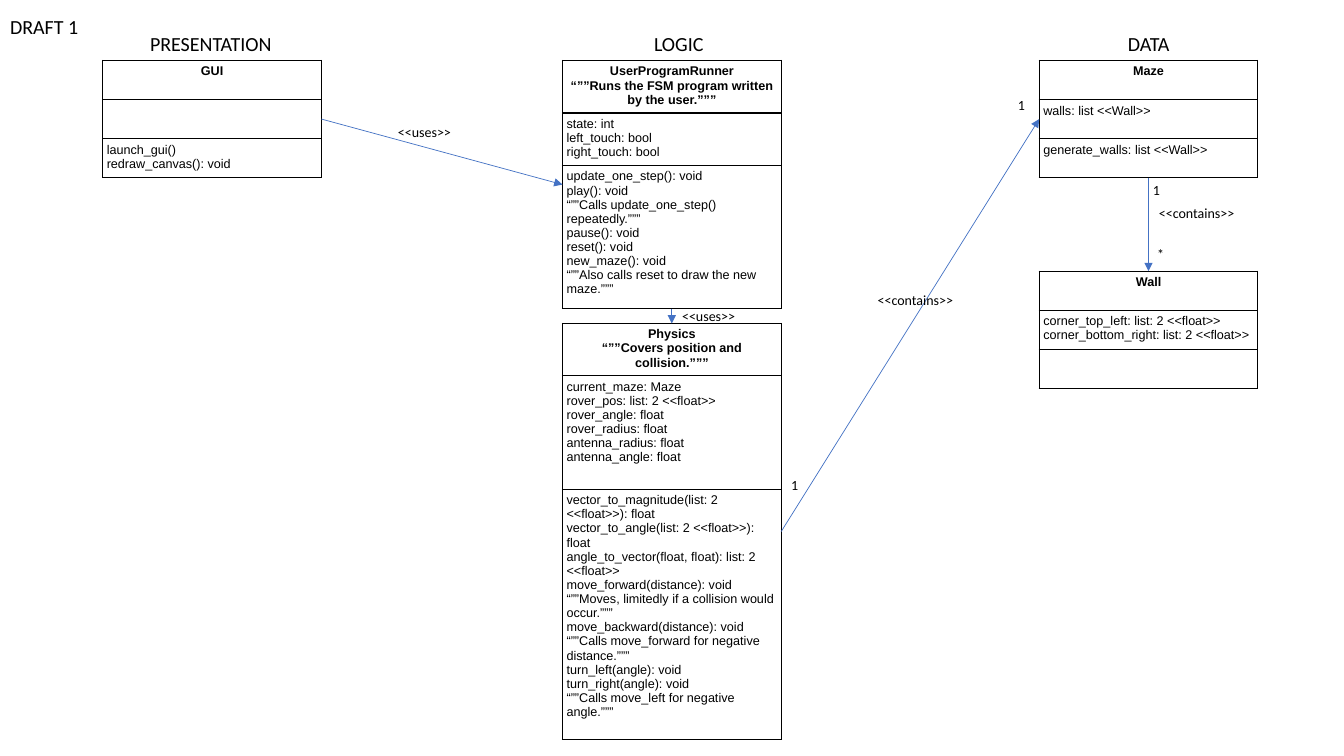
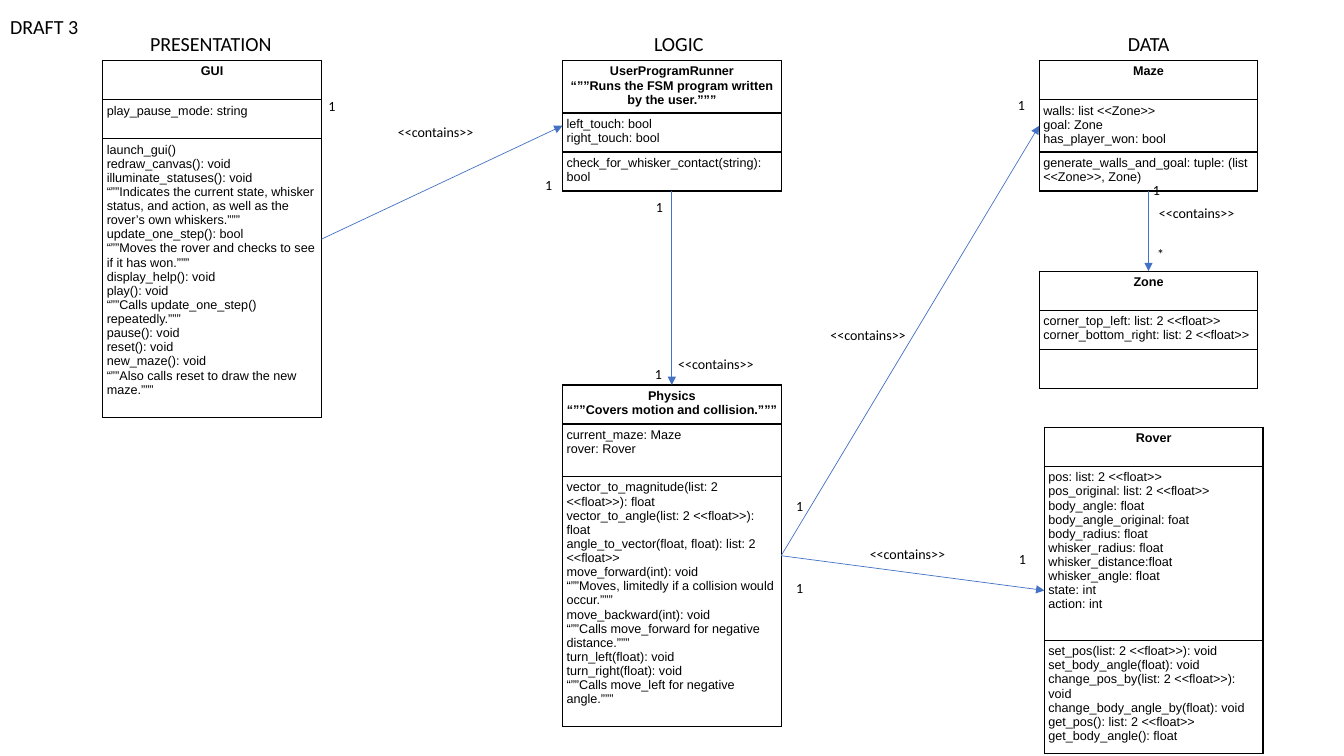
from dataclasses import dataclass
from lxml import etree
from pptx import Presentation
from pptx.dml.color import RGBColor
from pptx.enum.shapes import MSO_CONNECTOR as CONN
from pptx.enum.text import MSO_ANCHOR as ANCHOR, MSO_AUTO_SIZE as AUTO, PP_ALIGN as ALIGN
from pptx.oxml.ns import qn
from pptx.util import Pt


@dataclass(frozen=True)
class Theme:
    ink: str = "000000"
    accent: str = "4472C4"
    label_font: str = "Calibri"
    box_font: str = "Arial"
    heading: float = 14.3
    label: float = 10
    member: float = 9
    border: float = 1
    arrow: float = 0.5
    box_width: float = 156.2
    inset: float = 2.9


THEME = Theme()
COL_GUI, COL_LOGIC, COL_DATA = 73.4, 401.8, 742.3
TOP, LOWER = 43.2, 193.7
ROW, ROW3 = 27.9, 37.5
HEADINGS = [("PRESENTATION", 100.1, 103), ("LOGIC", 460.1, 50.4), ("DATA", 798.5, 44.6)]
LABEL_WIDTHS = {"<<uses>>": 52.6, "<<contains>>": 69.1, "1": 19.4, "*": 19.4}


def write(tf, text, font, size, bold=False, align=ALIGN.LEFT):
    for i, line in enumerate(text.split("\n")):
        p = tf.paragraphs[0] if i == 0 else tf.add_paragraph()
        p.alignment = align
        r = p.add_run()
        r.text = line
        r.font.name, r.font.size, r.font.bold = font, Pt(size), bold
        r.font.color.rgb = RGBColor.from_string(THEME.ink)


def doc(text):
    return f"“””{text}”””"


class Diagram:
    def __init__(self, prs, theme):
        self.prs, self.theme = prs, theme

    def start(self, title):
        self.s = self.prs.slides.add_slide(self.prs.slide_layouts[5])
        sp = self.s.shapes.title
        sp.left, sp.top, sp.width, sp.height = Pt(0), Pt(6.5), Pt(64.1), Pt(24.5)
        self.fit(sp, title, self.theme.heading)
        for text, x, w in HEADINGS:
            self.text(text, x, 18.7, w, 24.5, self.theme.heading)

    def fit(self, sp, text, size):
        tf = sp.text_frame
        tf.word_wrap, tf.auto_size = False, AUTO.NONE
        tf.vertical_anchor = ANCHOR.TOP
        write(tf, text, self.theme.label_font, size)

    def text(self, text, x, y, w, h, size):
        self.fit(self.s.shapes.add_textbox(Pt(x), Pt(y), Pt(w), Pt(h)), text, size)

    def labels(self, text, *points):
        for x, y in points:
            self.text(text, x, y, LABEL_WIDTHS[text], 19.4, self.theme.label)

    def box(self, x, y, heights, name, fields, methods):
        t = self.theme
        sp = self.s.shapes.add_table(3, 1, Pt(x), Pt(y), Pt(t.box_width), Pt(sum(heights)))
        tbl = sp.table
        tbl.first_row = tbl.horz_banding = False
        for i, (height, lines) in enumerate(zip(heights, (name, fields, methods))):
            tbl.rows[i].height = Pt(height)
            cell = tbl.cell(i, 0)
            cell.margin_left = cell.margin_right = Pt(t.inset)
            cell.margin_top = cell.margin_bottom = Pt(t.inset)
            self.borders(cell)
            cell.fill.background()
            write(cell.text_frame, "\n".join(lines), t.box_font, t.member,
                  bold=i == 0, align=ALIGN.LEFT if i else ALIGN.CENTER)
        return sp

    def borders(self, cell):
        tcPr = cell._tc.get_or_add_tcPr()
        for side in "LRTB":
            ln = etree.SubElement(tcPr, qn(f"a:ln{side}"), w=str(Pt(self.theme.border)))
            fill = etree.SubElement(ln, qn("a:solidFill"))
            etree.SubElement(fill, qn("a:srgbClr"), val=self.theme.ink)

    def arrow(self, x1, y1, x2, y2):
        cx = self.s.shapes.add_connector(CONN.STRAIGHT, x1, y1, x2, y2)
        cx.line.color.rgb = RGBColor.from_string(self.theme.accent)
        cx.line.width = Pt(self.theme.arrow)
        etree.SubElement(cx.line._get_or_add_ln(), qn("a:tailEnd"), type="triangle")
        etree.SubElement(cx._element.spPr, qn("a:effectLst"))

    def across(self, a, b):
        self.arrow(a.left + a.width, a.top + a.height // 2, b.left, b.top + b.height // 2)

    def down(self, a, b):
        self.arrow(a.left + a.width // 2, a.top + a.height, b.left + b.width // 2, b.top)


PLAYBACK = ["play(): void", doc("Calls update_one_step() repeatedly."), "pause(): void",
            "reset(): void", "new_maze(): void", doc("Also calls reset to draw the new maze.")]
RUNNER = ["UserProgramRunner", doc("Runs the FSM program written by the user.")]
TOUCHES = ["left_touch: bool", "right_touch: bool"]
CORNERS = ["corner_top_left: list: 2 <<float>>", "corner_bottom_right: list: 2 <<float>>"]


def physics_methods(distance, angle):
    return ["vector_to_magnitude(list: 2 <<float>>): float",
            "vector_to_angle(list: 2 <<float>>): float",
            "angle_to_vector(float, float): list: 2 <<float>>",
            f"move_forward({distance}): void",
            doc("Moves, limitedly if a collision would occur."),
            f"move_backward({distance}): void",
            doc("Calls move_forward for negative distance."),
            f"turn_left({angle}): void",
            f"turn_right({angle}): void",
            doc("Calls move_left for negative angle.")]


def link_all(d, gui, runner, physics, maze, part):
    d.across(gui, runner)
    d.down(runner, physics)
    d.across(physics, maze)
    d.down(maze, part)
    d.labels("<<contains>>", (820.8, 142.6))
    d.labels("*", (819.4, 172.1))
    d.labels("1", (816.5, 126), (720, 65.5))


def draft_1(d):
    d.start("DRAFT 1")
    gui = d.box(COL_GUI, TOP, [ROW] * 3, ["GUI"], [],
                ["launch_gui()", "redraw_canvas(): void"])
    physics = d.box(COL_LOGIC, 231, [ROW3, 81, 179],
                    ["Physics", doc("Covers position and collision.")],
                    ["current_maze: Maze", "rover_pos: list: 2 <<float>>",
                     "rover_angle: float", "rover_radius: float",
                     "antenna_radius: float", "antenna_angle: float"],
                    physics_methods("distance", "angle"))
    runner = d.box(COL_LOGIC, TOP, [ROW3, ROW3, 102.3], RUNNER,
                   ["state: int", *TOUCHES], ["update_one_step(): void", *PLAYBACK])
    maze = d.box(COL_DATA, TOP, [ROW] * 3, ["Maze"], ["walls: list <<Wall>>"],
                 ["generate_walls: list <<Wall>>"])
    wall = d.box(COL_DATA, LOWER, [ROW] * 3, ["Wall"], CORNERS, [])
    link_all(d, gui, runner, physics, maze, wall)
    d.labels("<<uses>>", (277.2, 85), (480.2, 216))
    d.labels("<<contains>>", (619.9, 204.5))
    d.labels("1", (558, 337))


def draft_3(d):
    d.start("DRAFT 3")
    gui = d.box(COL_GUI, TOP, [ROW, ROW, 199.5], ["GUI"], ["play_pause_mode: string"],
                ["launch_gui()", "redraw_canvas(): void", "illuminate_statuses(): void",
                 doc("Indicates the current state, whisker status, and action, "
                     "as well as the rover’s own whiskers."),
                 "update_one_step(): bool",
                 doc("Moves the rover and checks to see if it has won."),
                 "display_help(): void", *PLAYBACK])
    physics = d.box(COL_LOGIC, 275, [ROW, ROW3, 178.5],
                    ["Physics", doc("Covers motion and collision.")],
                    ["current_maze: Maze", "rover: Rover"], physics_methods("int", "float"))
    runner = d.box(COL_LOGIC, TOP, [ROW3, ROW, ROW], RUNNER, TOUCHES,
                   ["check_for_whisker_contact(string): bool"])
    maze = d.box(COL_DATA, TOP, [ROW, ROW3, ROW], ["Maze"],
                 ["walls: list <<Zone>>", "goal: Zone", "has_player_won: bool"],
                 ["generate_walls_and_goal: tuple: (list <<Zone>>, Zone)"])
    zone = d.box(COL_DATA, LOWER, [ROW] * 3, ["Zone"], CORNERS, [])
    rover = d.box(746, 305.2, [ROW, 124.2, 81], ["Rover"],
                  ["pos: list: 2 <<float>>", "pos_original: list: 2 <<float>>",
                   "body_angle: float", "body_angle_original: foat", "body_radius: float",
                   "whisker_radius: float", "whisker_distance:float",
                   "whisker_angle: float", "state: int", "action: int"],
                  ["set_pos(list: 2 <<float>>): void", "set_body_angle(float): void",
                   "change_pos_by(list: 2 <<float>>): void",
                   "change_body_angle_by(float): void", "get_pos(): list: 2 <<float>>",
                   "get_body_angle(): float"])
    link_all(d, gui, runner, physics, maze, zone)
    d.across(physics, rover)
    d.labels("<<contains>>", (277.2, 85), (477.4, 250.6), (586.1, 229.7), (614.2, 385.9))
    d.labels("1", (561.6, 352.1), (561.6, 410.4), (720.7, 389.5), (227.5, 66.2),
             (382.3, 122.4), (461.5, 138.2), (460.8, 257.8))


prs = Presentation()
prs.slide_width, prs.slide_height = Pt(960), Pt(540)
diagram = Diagram(prs, THEME)
draft_1(diagram)
draft_3(diagram)
prs.save("out.pptx")
